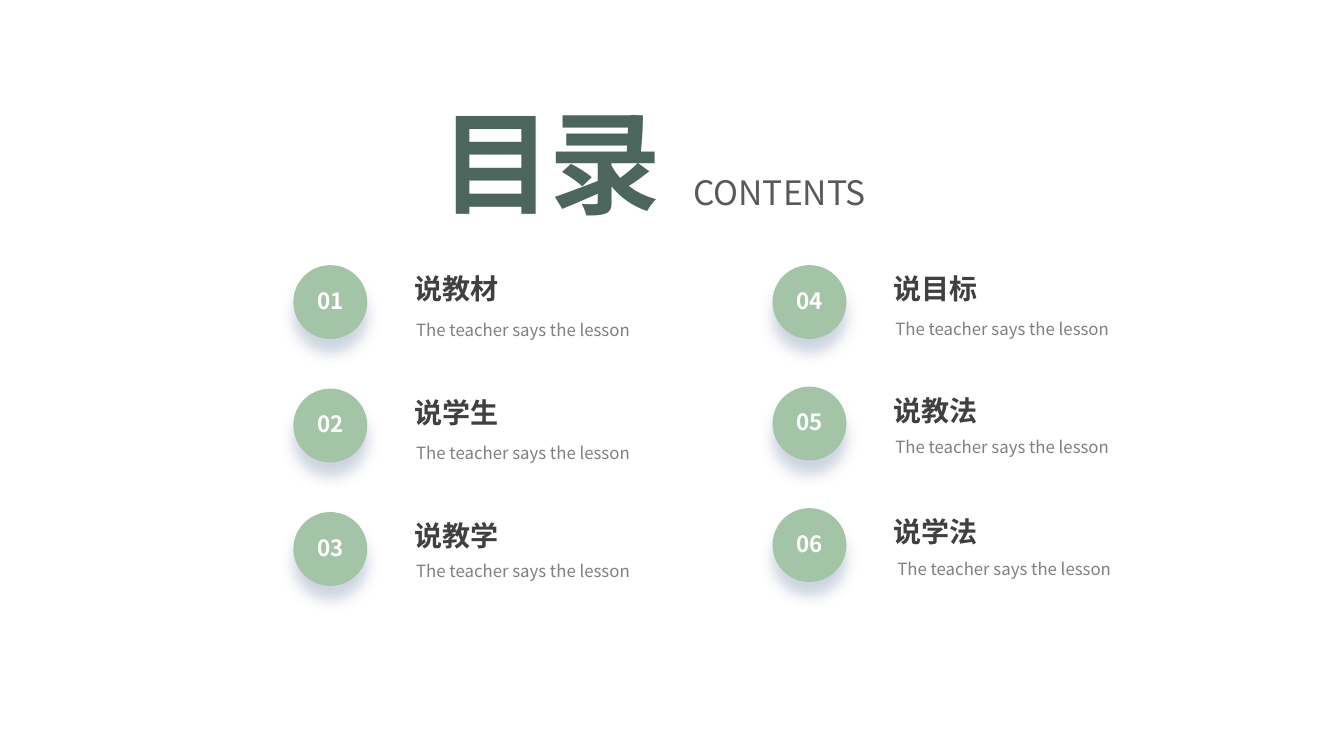
from dataclasses import dataclass

from lxml.etree import SubElement
from pptx import Presentation
from pptx.dml.color import RGBColor
from pptx.enum.shapes import MSO_SHAPE
from pptx.enum.text import MSO_ANCHOR, MSO_AUTO_SIZE, PP_ALIGN
from pptx.oxml.ns import qn
from pptx.shapes.autoshape import Shape
from pptx.shapes.shapetree import GroupShapes, SlideShapes
from pptx.util import Inches, Pt

SLIDE_WIDTH, SLIDE_HEIGHT = Inches(13.33), Inches(7.5)


@dataclass(frozen=True)
class TextStyle:
    size: int
    color: str
    bold: bool = False
    font: str = "Noto Sans CJK SC"
    spacing: int = 0
    alignment: PP_ALIGN = PP_ALIGN.LEFT


@dataclass(frozen=True)
class Theme:
    title: TextStyle = TextStyle(80, "4C655D", True, "Noto Sans CJK JP", -2, PP_ALIGN.JUSTIFY)
    subtitle: TextStyle = TextStyle(24, "595959")
    heading: TextStyle = TextStyle(20, "404040", True)
    number: TextStyle = TextStyle(16, "FFFFFF", True, alignment=PP_ALIGN.CENTER)
    note: TextStyle = TextStyle(12, "808080")
    badge: str = "A3C4A7"
    shadow: str = "8496B1"


@dataclass(frozen=True)
class Area:
    """A rectangle on a grid of 100 columns by 100 rows."""
    column: float
    row: float
    columns: float
    rows: float

    def moved(self, column: float, row: float) -> "Area":
        return Area(self.column + column, self.row + row, self.columns, self.rows)

    def lengths(self) -> tuple[int, int, int, int]:
        return (across(self.column), down(self.row), across(self.columns), down(self.rows))


@dataclass(frozen=True)
class Topic:
    heading: str
    note_drop: float
    note_indent: float = 8.4


@dataclass(frozen=True)
class TopicColumn:
    column: float
    pitch: float
    topics: tuple[Topic, ...]


THEME = Theme()
NOTE = "The teacher says the lesson"
FIRST_ROW = 35.07

TITLE_AREA = Area(32.03, 11.73, 18.83, 19.33)
SUBTITLE_AREA = Area(50.85, 22.13, 16.2, 6.67)

# Parts of one topic, measured from the corner of its badge
BADGE_AREA = Area(0, 0, 5.5, 9.78)
NUMBER_AREA = Area(0.27, 2.2, 4.95, 4.93)
HEADING_AREA = Area(8.25, 0.24, 18.75, 5.87)
NOTE_AREA = Area(0, 0, 20, 4)

TOPIC_COLUMNS = (
    TopicColumn(21.83, 16.33, (Topic("说教材", 6.53), Topic("说学生", 6.53), Topic("说教学", 5.73))),
    TopicColumn(57.48, 16.07, (Topic("说目标", 6.4), Topic("说教法", 6), Topic("说学法", 6, 8.55))),
)


def across(columns: float) -> int:
    return round(SLIDE_WIDTH * columns / 100)


def down(rows: float) -> int:
    return round(SLIDE_HEIGHT * rows / 100)


def write(shape: Shape, text: str, style: TextStyle) -> None:
    frame = shape.text_frame
    frame.text = text
    frame.word_wrap = True
    frame.auto_size = MSO_AUTO_SIZE.SHAPE_TO_FIT_TEXT
    frame.vertical_anchor = MSO_ANCHOR.TOP
    paragraph = frame.paragraphs[0]
    paragraph.alignment = style.alignment
    font = paragraph.runs[0].font
    font.size, font.bold, font.name = Pt(style.size), style.bold, style.font
    font.color.rgb = RGBColor.from_string(style.color)
    properties = paragraph.runs[0]._r.get_or_add_rPr()
    SubElement(properties, qn("a:ea"), typeface=style.font)
    if style.spacing:
        properties.set("spc", str(style.spacing * 100))


def add_text(shapes: SlideShapes | GroupShapes, area: Area, text: str, style: TextStyle) -> None:
    write(shapes.add_textbox(*area.lengths()), text, style)


def add_badge(shapes: GroupShapes, area: Area) -> None:
    left, top, diameter, _ = area.lengths()
    badge = shapes.add_shape(MSO_SHAPE.OVAL, left, top, diameter, diameter)
    badge.fill.solid()
    badge.fill.fore_color.rgb = RGBColor.from_string(THEME.badge)
    badge.line.fill.background()
    # Soft shadow straight below the badge
    badge.shadow.inherit = False
    effects = badge._element.spPr.find(qn("a:effectLst"))
    shadow = SubElement(effects, qn("a:outerShdw"), blurRad=str(Pt(10)), dist=str(Pt(10)),
                        dir="5400000", algn="t", rotWithShape="0")
    color = SubElement(shadow, qn("a:srgbClr"), val=THEME.shadow)
    SubElement(color, qn("a:alpha"), val="40000")


def add_topic(shapes: SlideShapes, column: float, row: float, number: int, topic: Topic) -> None:
    group = shapes.add_group_shape().shapes
    add_text(group, HEADING_AREA.moved(column, row), topic.heading, THEME.heading)
    add_badge(group, BADGE_AREA.moved(column, row))
    add_text(group, NUMBER_AREA.moved(column, row), f"{number:02d}", THEME.number)
    note_area = NOTE_AREA.moved(column + topic.note_indent, row + topic.note_drop)
    add_text(group, note_area, NOTE, THEME.note)


def main() -> None:
    presentation = Presentation()
    presentation.slide_width, presentation.slide_height = SLIDE_WIDTH, SLIDE_HEIGHT
    slide = presentation.slides.add_slide(presentation.slide_layouts[5])

    # Title and its translation
    title = slide.shapes.title
    title.left, title.top, title.width, title.height = TITLE_AREA.lengths()
    write(title, "目录", THEME.title)
    add_text(slide.shapes, SUBTITLE_AREA, "CONTENTS", THEME.subtitle)

    # Numbered topics, column by column
    number = 0
    for topic_column in TOPIC_COLUMNS:
        for index, topic in enumerate(topic_column.topics):
            number += 1
            row = FIRST_ROW + index * topic_column.pitch
            add_topic(slide.shapes, topic_column.column, row, number, topic)

    presentation.save("out.pptx")


if __name__ == "__main__":
    main()
